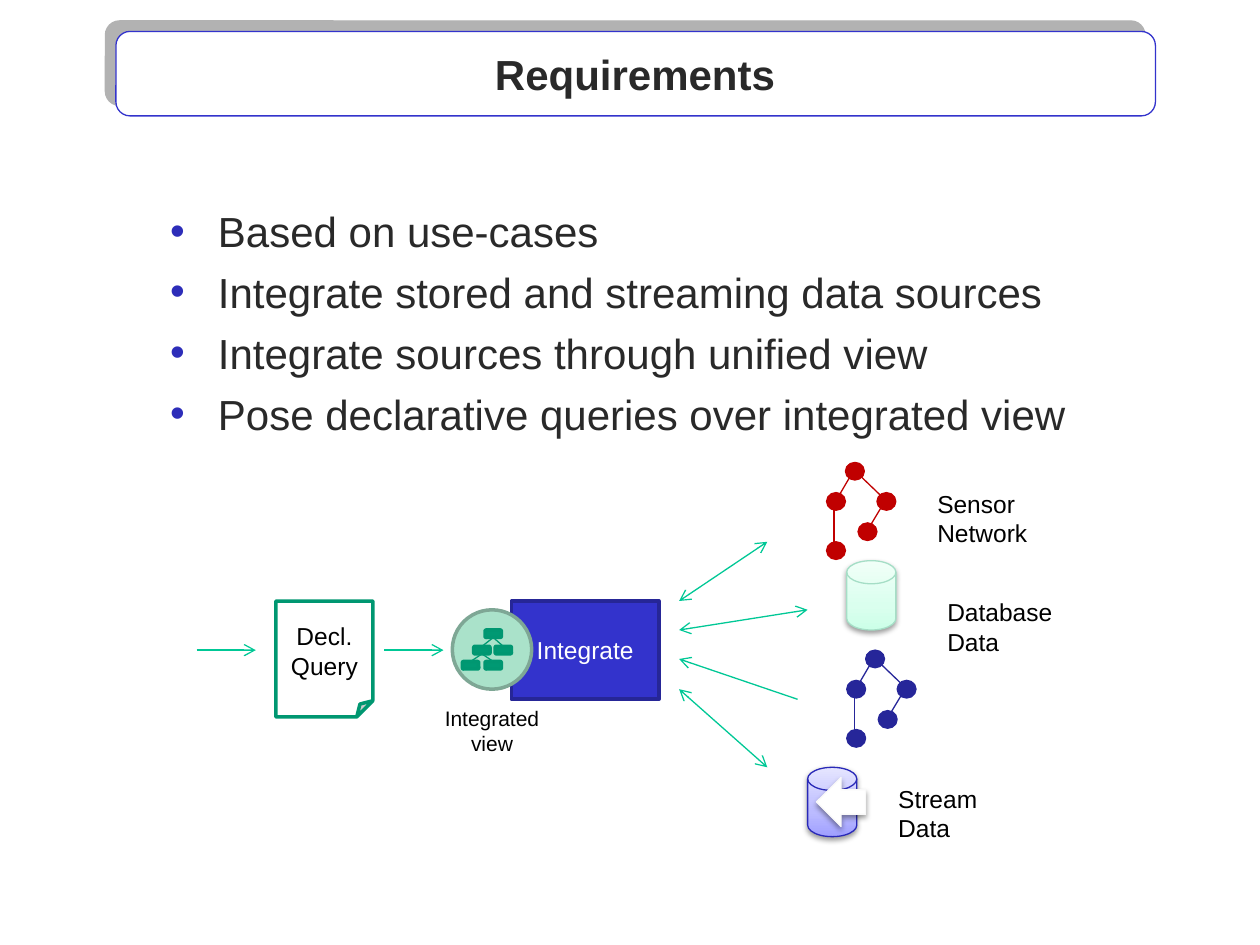
import pptx
import pptx.util
import pptx.dml.color
import pptx.enum.shapes
import pptx.enum.text
import pptx.oxml
import pptx.oxml.ns
import lxml.etree

Inches = pptx.util.Inches
Pt = pptx.util.Pt
KIND = pptx.enum.shapes.MSO_SHAPE
ALIGN = pptx.enum.text.PP_ALIGN
ANCHOR = pptx.enum.text.MSO_ANCHOR
NS = pptx.oxml.ns.nsdecls("a")

BLUE, GREEN, LEAF, MINT = "3333CC", "009771", "009973", "00C896"
RED, NAVY, INK = "C00000", "262699", "292929"
SOFT = ("000000", 38, 3.1, 1.6, 90)


def color(code):
    return pptx.dml.color.RGBColor.from_string(code)


def add_xml(parent, tag, **attrs):
    return lxml.etree.SubElement(parent, pptx.oxml.ns.qn(tag), **attrs)


def write(frame, *lines, size=14, ink="000000", bold=False, align=None,
          anchor=ANCHOR.TOP, bullet=None, gap=0):
    """Fill a text frame with one paragraph for each line."""
    frame.word_wrap = True
    frame.auto_size = pptx.enum.text.MSO_AUTO_SIZE.NONE
    frame.vertical_anchor = anchor
    for i, line in enumerate(lines):
        par = frame.add_paragraph() if i else frame.paragraphs[0]
        if bullet:
            props = par._p.get_or_add_pPr()
            props.set("marL", str(Inches(0.38)))
            props.set("indent", str(-Inches(0.38)))
            tint = add_xml(props, "a:buClr")
            add_xml(tint, "a:srgbClr", val=bullet)
            add_xml(props, "a:buChar", char="•")
        par.alignment = align
        par.space_before = Pt(gap if i else 0)
        run = par.add_run()
        run.text = line
        run.font.name = "Arial"
        run.font.size = Pt(size)
        run.font.bold = bold
        run.font.color.rgb = color(ink)


def place(item, left, top, width, height):
    item.left, item.top = Inches(left), Inches(top)
    item.width, item.height = Inches(width), Inches(height)


def cast(shape, tint, alpha, blur, dist, angle):
    """Give a shape an outer shadow."""
    effects = shape._element.spPr.find(pptx.oxml.ns.qn("a:effectLst"))
    outer = add_xml(effects, "a:outerShdw", blurRad=str(Pt(blur)),
                    dist=str(Pt(dist)), dir=str(angle * 60000),
                    algn="ctr", rotWithShape="0")
    shade = add_xml(outer, "a:srgbClr", val=tint)
    add_xml(shade, "a:alpha", val=str(alpha * 1000))


def add_box(shapes, kind, box, fill, line, weight=0.75, shadow=None):
    shape = shapes.add_shape(kind, *map(Inches, box))
    shape.fill.solid()
    shape.fill.fore_color.rgb = color(fill)
    shape.line.color.rgb = color(line)
    shape.line.width = Pt(weight)
    shape.shadow.inherit = False
    if shadow:
        cast(shape, *shadow)
    return shape


def add_line(shapes, start, end, tint, head=False, tail=False):
    line = shapes.add_connector(pptx.enum.shapes.MSO_CONNECTOR.STRAIGHT,
                                *map(Inches, (*start, *end)))
    line.line.color.rgb = color(tint)
    line.line.width = Pt(0.75)
    stroke = line.line._get_or_add_ln()
    for tag, shown in (("a:headEnd", head), ("a:tailEnd", tail)):
        if shown:
            add_xml(stroke, tag, type="arrow")
    add_xml(line._element.spPr, "a:effectLst")
    return line


def add_label(shapes, box, text, **look):
    write(shapes.add_textbox(*map(Inches, box)).text_frame, text, **look)


def add_disk(shapes, left, top, stops, line):
    """Add a cylinder that fades from its base to its top."""
    disk = add_box(shapes, KIND.FLOWCHART_MAGNETIC_DISK,
                   (left, top, 0.39, 0.55), stops[0], line, shadow=SOFT)
    marks = "".join(f'<a:gs pos="{pos}"><a:srgbClr val="{tint}"/></a:gs>'
                    for pos, tint in zip((0, 35000, 100000), stops))
    fade = pptx.oxml.parse_xml(
        f'<a:gradFill {NS} rotWithShape="1"><a:gsLst>{marks}</a:gsLst>'
        '<a:lin ang="16200000" scaled="0"/></a:gradFill>')
    props = disk._element.spPr
    props.replace(props.find(pptx.oxml.ns.qn("a:solidFill")), fade)


def add_net(slide, left, top, tint):
    """Add a group of five linked dots."""
    net = slide.shapes.add_group_shape().shapes
    for x, y in ((0.15, 0), (0.4, 0.24), (0, 0.24), (0, 0.63), (0.25, 0.48)):
        add_box(net, KIND.OVAL, (left + x, top + y, 0.15, 0.14), tint, tint)
    for x1, y1, x2, y2 in ((0.25, 0.09, 0.5, 0.33), (0.2, 0.09, 0.06, 0.33),
                           (0.06, 0.33, 0.06, 0.71), (0.45, 0.33, 0.3, 0.58)):
        add_line(net, (left + x1, top + y1), (left + x2, top + y2), tint)


def add_tree(slide):
    tree = slide.shapes.add_group_shape().shapes
    spots = ((3.76, 5.13), (3.93, 5.13), (3.85, 5), (3.67, 5.25), (3.85, 5.25))
    nodes = [add_box(tree, KIND.ROUNDED_RECTANGLE, (x, y, 0.13, 0.06),
                     LEAF, GREEN, 2) for x, y in spots]
    for top, low in ((2, 1), (2, 0), (0, 4), (0, 3)):
        link = add_line(tree, spots[top], spots[low], LEAF)
        link.begin_connect(nodes[top], 2)
        link.end_connect(nodes[low], 0)


def add_head(slide):
    plate = add_box(slide.shapes, KIND.ROUNDED_RECTANGLE,
                    (0.92, 0.25, 8.25, 0.67), "FFFFFF", BLUE,
                    shadow=("B2B2B2", 100, 0, 8.5, 225))
    slide.shapes._spTree.insert(2, plate._element)
    title, body = slide.placeholders
    place(title, 1.08, 0.25, 7.92, 0.67)
    write(title.text_frame, "Requirements", size=24, ink=INK, bold=True,
          align=ALIGN.CENTER, anchor=ANCHOR.MIDDLE)
    place(body, 1.25, 1.58, 8, 4.92)
    write(body.text_frame, "Based on use-cases",
          "Integrate stored and streaming data sources",
          "Integrate sources through unified view",
          "Pose declarative queries over integrated view",
          size=24, ink=INK, bullet="2D2DB9", gap=6)


def add_flow(slide):
    shapes = slide.shapes
    middle = {"align": ALIGN.CENTER, "anchor": ANCHOR.MIDDLE}
    hub = add_box(shapes, KIND.RECTANGLE, (4.06, 4.77, 1.17, 0.78),
                  BLUE, "262697", 2)
    write(hub.text_frame, "Integrate", ink="FFFFFF", **middle)
    query = add_box(shapes, KIND.FOLDED_CORNER, (2.19, 4.77, 0.77, 0.92),
                    "FFFFFF", GREEN, 2)
    write(query.text_frame, "Decl. Query", **middle)
    for x in (1.56, 3.05):
        add_line(shapes, (x, 5.16), (x + 0.47, 5.16), MINT, tail=True)
    for y, end in ((4.77, (6.09, 4.3)), (5, (6.41, 4.84)), (5.47, (6.09, 6.09))):
        add_line(shapes, (5.39, y), end, MINT, head=True, tail=True)
    add_line(shapes, (6.33, 5.55), (5.39, 5.23), MINT, tail=True)
    add_label(shapes, (3.36, 5.55, 1.09, 0.5), "Integrated view",
              size=12, align=ALIGN.CENTER)
    add_box(shapes, KIND.OVAL, (3.59, 4.84, 0.63, 0.63), "AAE2CA", "7EA795", 2)
    add_tree(slide)


def add_feeds(slide):
    shapes = slide.shapes
    add_net(slide, 6.56, 3.67, RED)
    add_disk(shapes, 6.72, 4.45, ("CCFFE8", "DAFFEE", "F1FFF8"), "A5DEC6")
    add_net(slide, 6.72, 5.16, NAVY)
    add_disk(shapes, 6.41, 6.09, ("9F9FFF", "BBBBFF", "E5E5FF"), "2929B8")
    arrow = add_box(shapes, KIND.RIGHT_ARROW, (6.48, 6.17, 0.39, 0.39),
                    "FFFFFF", "F9F9F9", shadow=SOFT)
    arrow._element.spPr.xfrm.set("flipH", "1")
    for x, y, width, text in ((7.34, 3.83, 1.48, "Sensor Network"),
                              (7.42, 4.69, 1.36, "Database Data"),
                              (7.03, 6.17, 1.19, "Stream Data")):
        add_label(shapes, (x, y, width, 0.34), text)


def main():
    deck = pptx.Presentation()
    deck.slide_width, deck.slide_height = Inches(10), Inches(7.5)
    slide = deck.slides.add_slide(deck.slide_layouts[1])
    add_head(slide)
    add_flow(slide)
    add_feeds(slide)
    deck.save("out.pptx")


if __name__ == "__main__":
    main()
